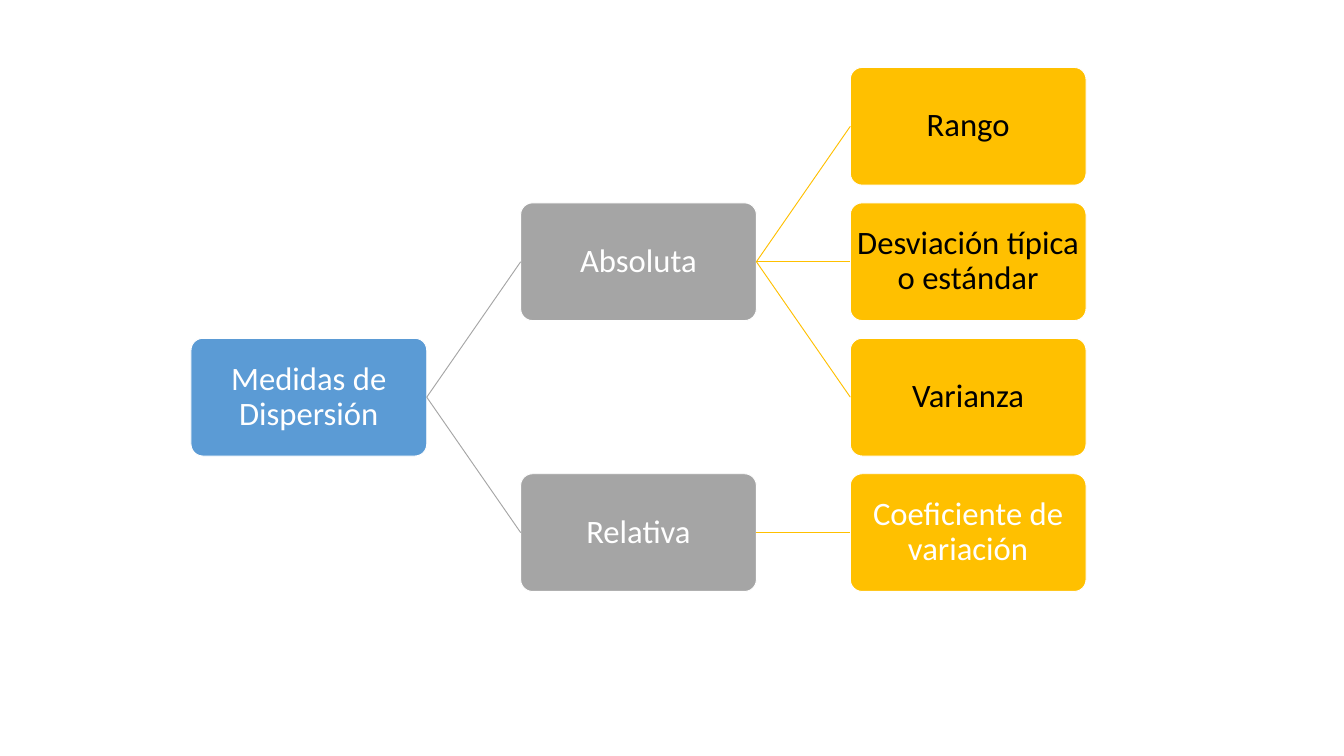
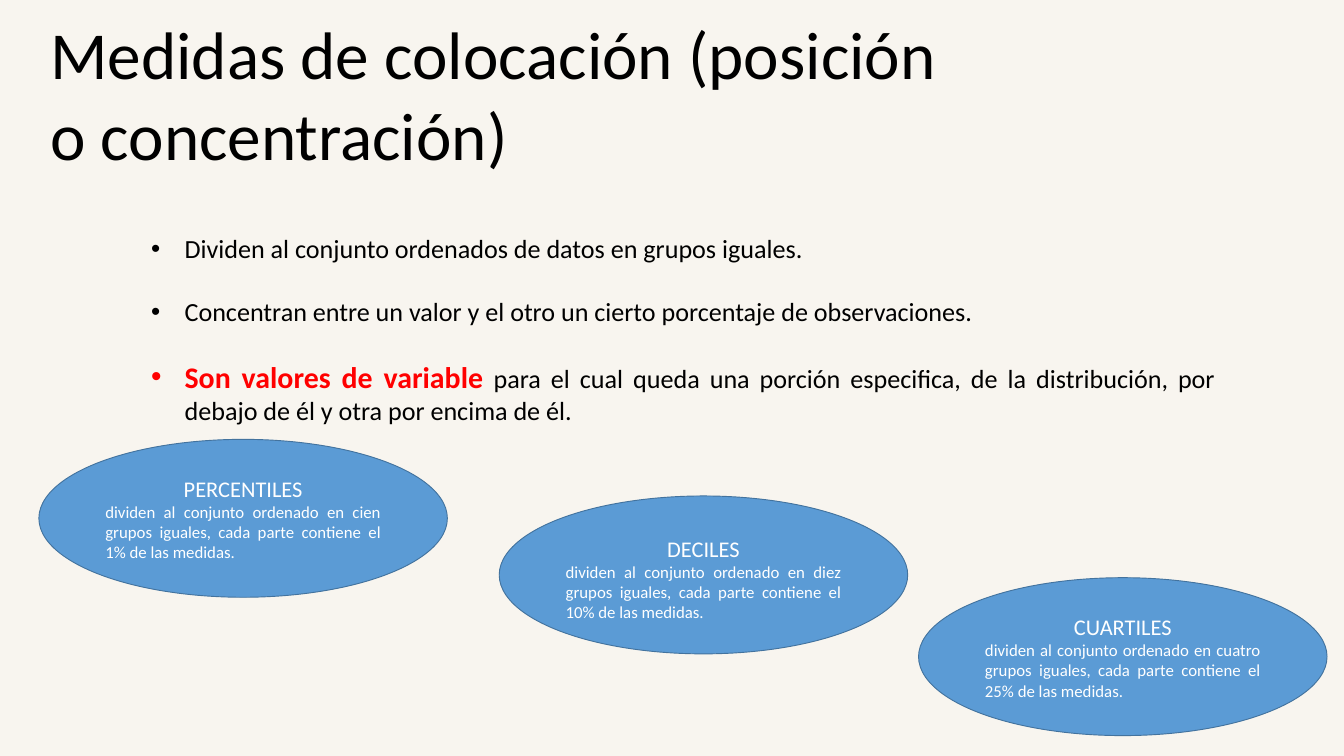
from pptx import Presentation
from pptx.dml.color import RGBColor
from pptx.enum.shapes import MSO_CONNECTOR as Link, MSO_SHAPE as Preset
from pptx.enum.text import MSO_ANCHOR as Anchor, MSO_AUTO_SIZE as Fit, PP_ALIGN as Align
from pptx.oxml.ns import qn
from pptx.util import Cm, Pt
from lxml.etree import SubElement

FONT = "Calibri"
COLORS = {
    "white": "FFFFFF", "black": "000000", "cream": "F8F5EF", "red": "FF0000",
    "blue": "5B9BD5", "navy": "43739E", "gray": "A5A5A5", "gold": "FFC000",
}
TITLE_ONLY, BLANK = 5, 6
LEFT_SIDE, RIGHT_SIDE = 1, 3

# Grid of the tree, in cm
TREE_LEFT, TREE_TOP = 7.22, 2.55
COLUMN_STEP, ROW_STEP = 12.46, 5.12
NODE_WIDTH, NODE_HEIGHT = 8.91, 4.45

# Label, column, row, fill, text colour, parent
NODES = [
    ("Medidas de Dispersión", 0, 2, "blue", "white", None),
    ("Absoluta", 1, 1, "gray", "white", "Medidas de Dispersión"),
    ("Relativa", 1, 3, "gray", "white", "Medidas de Dispersión"),
    ("Rango", 2, 0, "gold", "black", "Absoluta"),
    ("Desviación típica o estándar", 2, 1, "gold", "black", "Absoluta"),
    ("Varianza", 2, 2, "gold", "black", "Absoluta"),
    ("Coeficiente de variación", 2, 3, "gold", "white", "Relativa"),
]

# Each bullet is a list of spans: text and format
BULLETS = [
    [("Dividen al conjunto ordenados de datos en grupos iguales.", {})],
    [("Concentran entre un valor y el otro un cierto porcentaje de observaciones.", {})],
    [("Son valores de variable", {"size": 32, "color": "red", "bold": True}),
     (" para el cual queda una porción especifica, de la distribución, por debajo "
      "de él y otra por encima de él.", {})],
]

# Name, groups, share, left, top, top margin
QUANTILES = [
    ("DECILES", "diez", "10%", 18.87, 18.75, 0.38),
    ("CUARTILES", "cuatro", "25%", 34.72, 21.84, 0.13),
    ("PERCENTILES", "cien", "1%", 1.47, 16.61, 0.13),
]


def rgb(name):
    return RGBColor.from_string(COLORS[name])


def set_background(page, color):
    page.background.fill.solid()
    page.background.fill.fore_color.rgb = rgb(color)


def set_margins(frame, size):
    frame.margin_left = frame.margin_right = Cm(size)
    frame.margin_top = frame.margin_bottom = Cm(size)


def add_span(para, text, size=28, color="black", bold=False):
    span = para.add_run()
    span.text = text
    span.font.name = FONT
    span.font.size = Pt(size)
    span.font.bold = bold
    span.font.color.rgb = rgb(color)


def add_filled_shape(page, preset, bounds, fill, line):
    box = page.shapes.add_shape(preset, *map(Cm, bounds))
    box.shadow.inherit = False
    box.fill.solid()
    box.fill.fore_color.rgb = rgb(fill)
    box.line.color.rgb = rgb(line)
    box.line.width = Pt(1)
    box.text_frame.word_wrap = True
    box.text_frame.vertical_anchor = Anchor.MIDDLE
    return box


def add_node(page, label, column, row, fill, color):
    bounds = (TREE_LEFT + column * COLUMN_STEP, TREE_TOP + row * ROW_STEP,
              NODE_WIDTH, NODE_HEIGHT)
    node = add_filled_shape(page, Preset.ROUNDED_RECTANGLE, bounds, fill, "white")
    node.adjustments[0] = 0.1
    set_margins(node.text_frame, 0.05)
    para = node.text_frame.paragraphs[0]
    para.alignment = Align.CENTER
    para.line_spacing = 0.9
    add_span(para, label, size=35, color=color)
    return node


def add_branch(page, parent, child, color):
    branch = page.shapes.add_connector(Link.STRAIGHT, 0, 0, 0, 0)
    branch.begin_connect(parent, RIGHT_SIDE)
    branch.end_connect(child, LEFT_SIDE)
    branch.line.color.rgb = rgb(color)
    branch.line.width = Pt(1)
    SubElement(branch._element.spPr, qn("a:effectLst"))


def format_title(page, text, bounds):
    title = page.shapes.title
    title.left, title.top, title.width, title.height = map(Cm, bounds)
    frame = title.text_frame
    frame.word_wrap = True
    frame.auto_size = Fit.NONE
    frame.vertical_anchor = Anchor.TOP
    set_margins(frame, 0)
    para = frame.paragraphs[0]
    para.alignment = Align.LEFT
    para.line_spacing = Pt(86.4)
    add_span(para, text, size=72)


def set_bullet(para, indent):
    props = para._p.get_or_add_pPr()
    props.set("marL", str(Cm(indent)))
    props.set("indent", str(-Cm(indent)))
    SubElement(props, qn("a:buFont"), typeface="Arial")
    SubElement(props, qn("a:buChar"), char="•")


def add_bullets(page, bullets, bounds):
    frame = page.shapes.add_textbox(*map(Cm, bounds)).text_frame
    frame.word_wrap = True
    set_margins(frame, 0)
    for index, spans in enumerate(bullets):
        para = frame.add_paragraph() if index else frame.paragraphs[0]
        para.alignment = Align.JUSTIFY
        if index < len(bullets) - 1:
            para.space_after = Pt(34)
        set_bullet(para, 1.27)
        for text, style in spans:
            add_span(para, text, **style)


def add_quantile(page, name, groups, share, left, top, top_margin):
    oval = add_filled_shape(page, Preset.OVAL, (left, top, 15.44, 5.97), "blue", "navy")
    frame = oval.text_frame
    frame.margin_top = Cm(top_margin)
    heading = frame.paragraphs[0]
    heading.alignment = Align.CENTER
    add_span(heading, name, size=24, color="white")
    detail = frame.add_paragraph()
    detail.alignment = Align.JUSTIFY
    add_span(detail, f"dividen al conjunto ordenado en {groups} grupos iguales, "
             f"cada parte contiene el {share} de las medidas.", size=18, color="white")


def build_tree_page(deck):
    page = deck.slides.add_slide(deck.slide_layouts[BLANK])
    set_background(page, "white")
    nodes = {}
    for label, column, row, fill, color, parent in NODES:
        nodes[label] = add_node(page, label, column, row, fill, color)
        if parent:
            add_branch(page, nodes[parent], nodes[label], fill)


def build_quantile_page(deck):
    page = deck.slides.add_slide(deck.slide_layouts[TITLE_ONLY])
    set_background(page, "cream")
    format_title(page, "Medidas de colocación (posición o concentración)",
                 (1.9, 0.48, 33.91, 9.19))
    add_bullets(page, BULLETS, (5.71, 8.79, 40.21, 7.52))
    for quantile in QUANTILES:
        add_quantile(page, *quantile)


def main():
    deck = Presentation()
    deck.slide_width, deck.slide_height = Cm(50.8), Cm(28.58)
    build_tree_page(deck)
    build_quantile_page(deck)
    deck.save("out.pptx")


if __name__ == "__main__":
    main()
